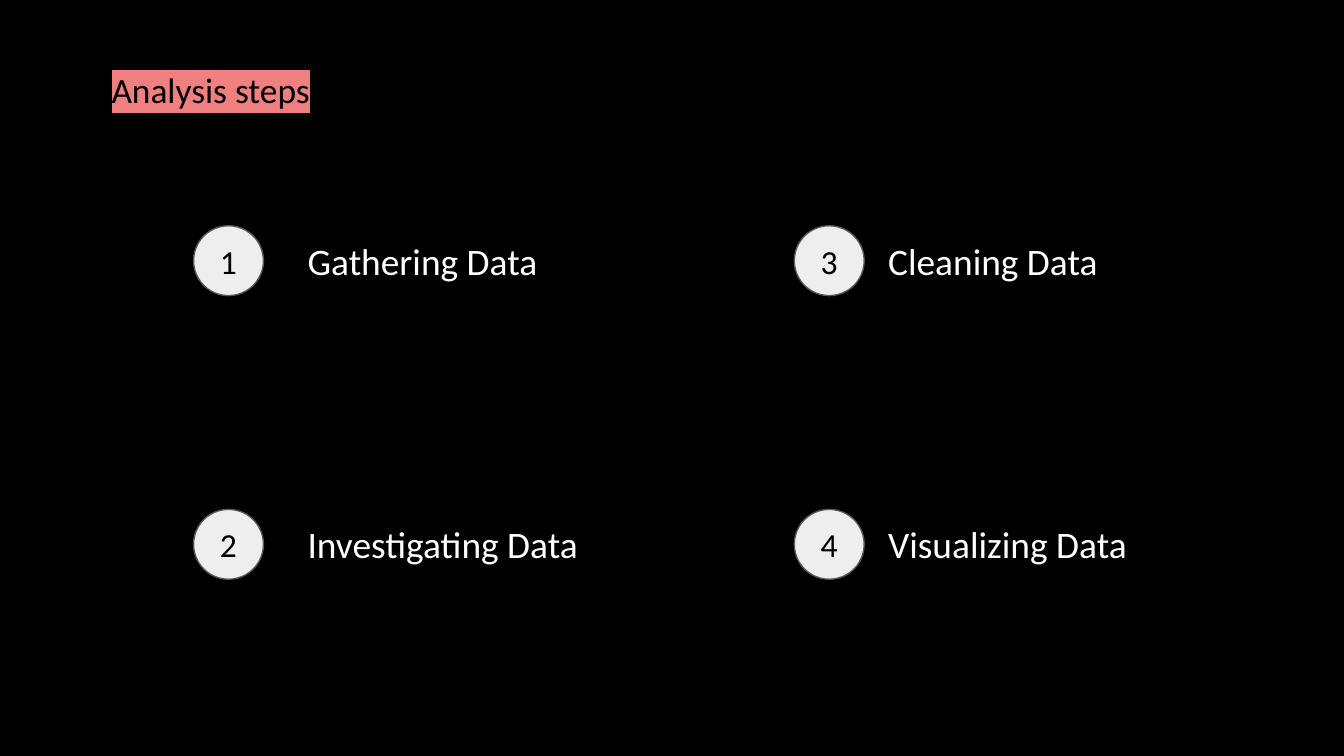
from lxml import etree
from pptx import Presentation
from pptx.dml.color import RGBColor
from pptx.enum.shapes import MSO_SHAPE
from pptx.enum.text import MSO_ANCHOR, PP_ALIGN
from pptx.oxml.ns import qn
from pptx.util import Inches, Pt

OVAL = MSO_SHAPE.OVAL
TOP, MIDDLE = MSO_ANCHOR.TOP, MSO_ANCHOR.MIDDLE
LEFT, CENTER = PP_ALIGN.LEFT, PP_ALIGN.CENTER

TITLE_ONLY = 5
SLIDE_WIDTH = 10
SLIDE_HEIGHT = SLIDE_WIDTH * 9 / 16
FONT = "Calibri"
BLACK, WHITE, CORAL = "000000", "FFFFFF", "F08080"
BADGE_FILL, BADGE_LINE = "EEEEEE", "595959"

# Grid: the steps run down each column in turn
COLUMN_LEFTS = (1.44, 5.91)
LABEL_OFFSETS = (0.75, 0.6)
FIRST_ROW, ROW_PITCH = 1.68, 2.11
BADGE = 0.52
LABEL_WIDTH, LABEL_HEIGHT = 3.11, 0.54
STEPS = (
    ("Gathering Data", "Investigating Data"),
    ("Cleaning Data", "Visualizing Data"),
)


def color(hex_code):
    return RGBColor.from_string(hex_code)


def box(left, top, width, height):
    return [Inches(value) for value in (left, top, width, height)]


def write(shape, text, size, hex_code, align=LEFT, anchor=TOP, inset=0.1):
    """Put one formatted line in a shape and return its run."""
    frame = shape.text_frame
    frame.text = text
    frame.word_wrap = True
    frame.vertical_anchor = anchor
    frame.margin_left = frame.margin_right = Inches(inset)
    frame.margin_top = frame.margin_bottom = Inches(inset)
    paragraph = frame.paragraphs[0]
    paragraph.alignment = align
    run = paragraph.runs[0]
    run.font.name = FONT
    run.font.size = Pt(size)
    run.font.color.rgb = color(hex_code)
    return run


def highlight(run, hex_code):
    """Mark the run; the highlight has to follow the text fill."""
    mark = etree.Element(qn("a:highlight"))
    etree.SubElement(mark, qn("a:srgbClr"), val=hex_code)
    run.font._element.find(qn("a:solidFill")).addnext(mark)


def add_heading(slide, text, area):
    heading = slide.shapes.title
    heading.left, heading.top, heading.width, heading.height = area
    highlight(write(heading, text, 19, BLACK), CORAL)


def add_step(slide, number, text, left, top, label_offset):
    # Numbered badge
    badge = slide.shapes.add_shape(OVAL, *box(left, top, BADGE, BADGE))
    badge.shadow.inherit = False
    badge.fill.solid()
    badge.fill.fore_color.rgb = color(BADGE_FILL)
    badge.line.color.rgb = color(BADGE_LINE)
    badge.line.width = Pt(0.75)
    write(badge, str(number), 18, BLACK, CENTER, MIDDLE, inset=0)

    # Label, centred on the badge's height
    label_top = top - (LABEL_HEIGHT - BADGE) / 2
    label = slide.shapes.add_textbox(
        *box(left + label_offset, label_top, LABEL_WIDTH, LABEL_HEIGHT))
    write(label, text, 20, WHITE)


def add_steps(slide):
    number = 1
    for left, offset, column in zip(COLUMN_LEFTS, LABEL_OFFSETS, STEPS):
        for row, text in enumerate(column):
            add_step(slide, number, text, left, FIRST_ROW + row * ROW_PITCH, offset)
            number += 1


def main():
    deck = Presentation()
    deck.slide_width, deck.slide_height = Inches(SLIDE_WIDTH), Inches(SLIDE_HEIGHT)
    slide = deck.slides.add_slide(deck.slide_layouts[TITLE_ONLY])
    slide.background.fill.solid()
    slide.background.fill.fore_color.rgb = color(BLACK)

    add_heading(slide, "Analysis steps", box(0.73, 0.41, 2.33, 0.52))
    add_steps(slide)
    deck.save("out.pptx")


if __name__ == "__main__":
    main()
